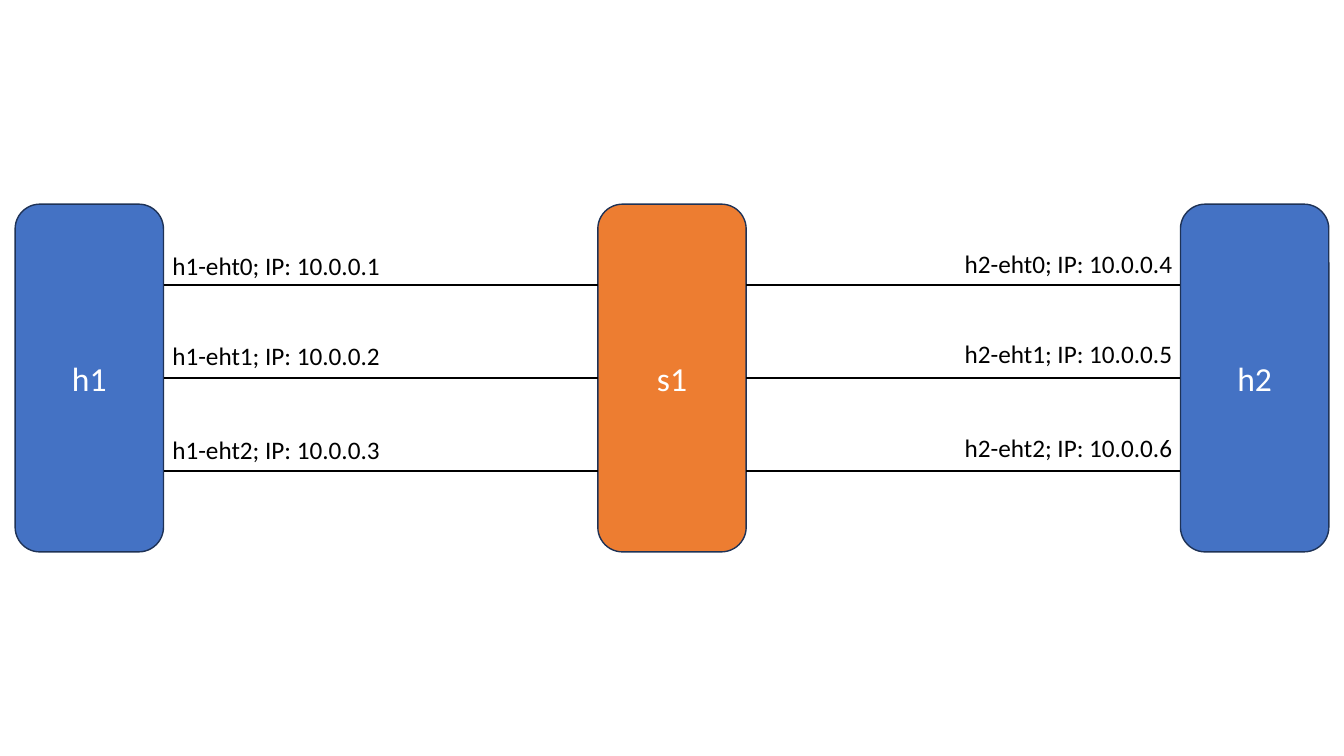
import pptx
import pptx.util
import pptx.dml.color
import pptx.enum.shapes
import pptx.enum.text
import pptx.oxml

Pt = pptx.util.Pt
RGBColor = pptx.dml.color.RGBColor

HOST_BLUE = RGBColor(0x44, 0x72, 0xC4)
SWITCH_ORANGE = RGBColor(0xED, 0x7D, 0x31)
OUTLINE = RGBColor(0x1E, 0x32, 0x56)
BLACK = RGBColor(0, 0, 0)
WHITE = RGBColor(0xFF, 0xFF, 0xFF)

SLIDE_WIDTH, SLIDE_HEIGHT = 960, 540
NODE_WIDTH, NODE_HEIGHT = 106, 248.4
NODE_TOP = (SLIDE_HEIGHT - NODE_HEIGHT) / 2
MARGIN = 10.8
WIRE_PITCH = 66.6
LABEL_WIDTH, LABEL_HEIGHT = 164.2, 29
LABEL_LIFTS = (28.2, 30.2, 30.2)

NODE_FONT = {"name": "Calibri", "size": Pt(24)}
LABEL_FONT = {"name": "Calibri", "size": Pt(18)}


def write(frame, text, font_format, color):
    paragraph = frame.paragraphs[0]
    run = paragraph.add_run()
    run.text = text
    for attribute, value in font_format.items():
        setattr(run.font, attribute, value)
    run.font.color.rgb = color
    return paragraph


def draw_node(slide, left, name, color):
    """Draw a host or switch as a rounded block."""
    node = slide.shapes.add_shape(
        pptx.enum.shapes.MSO_SHAPE.ROUNDED_RECTANGLE,
        Pt(left), Pt(NODE_TOP), Pt(NODE_WIDTH), Pt(NODE_HEIGHT))
    node.shadow.inherit = False
    node.fill.solid()
    node.fill.fore_color.rgb = color
    node.line.color.rgb = OUTLINE
    node.line.width = Pt(1)
    node.text_frame.vertical_anchor = pptx.enum.text.MSO_ANCHOR.MIDDLE
    paragraph = write(node.text_frame, name, NODE_FONT, WHITE)
    paragraph.alignment = pptx.enum.text.PP_ALIGN.CENTER
    return node


def draw_links(slide, left_node, right_node):
    """Draw three parallel wires across the gap between two nodes."""
    start = left_node.left + left_node.width
    middle = left_node.top + left_node.height // 2
    for step in (-1, 0, 1):
        y = middle + Pt(step * WIRE_PITCH)
        wire = slide.shapes.add_connector(
            pptx.enum.shapes.MSO_CONNECTOR.STRAIGHT, start, y, right_node.left, y)
        wire.line.color.rgb = BLACK
        wire.line.width = Pt(1.5)
        wire._element.spPr.append(pptx.oxml.parse_xml(
            '<a:effectLst xmlns:a="http://schemas.openxmlformats.org/drawingml/2006/main"/>'))
        if step == 0:
            wire.begin_connect(left_node, 3)
            wire.end_connect(right_node, 1)


def draw_labels(slide, left, raise_by, host, first_address):
    """Label each interface of a host just above its wire."""
    for index, lift in enumerate(LABEL_LIFTS):
        wire_y = SLIDE_HEIGHT / 2 + (index - 1) * WIRE_PITCH
        label = slide.shapes.add_textbox(
            Pt(left), Pt(wire_y - lift - raise_by), Pt(LABEL_WIDTH), Pt(LABEL_HEIGHT))
        label.text_frame.word_wrap = False
        label.text_frame.auto_size = pptx.enum.text.MSO_AUTO_SIZE.SHAPE_TO_FIT_TEXT
        text = f"{host}-eht{index}; IP: 10.0.0.{first_address + index}"
        write(label.text_frame, text, LABEL_FONT, BLACK)


def draw_topology(slide):
    # Nodes
    right_edge = SLIDE_WIDTH - MARGIN
    host1 = draw_node(slide, MARGIN, "h1", HOST_BLUE)
    switch = draw_node(slide, (SLIDE_WIDTH - NODE_WIDTH) / 2, "s1", SWITCH_ORANGE)
    host2 = draw_node(slide, right_edge - NODE_WIDTH, "h2", HOST_BLUE)

    # Wires
    draw_links(slide, host1, switch)
    draw_links(slide, switch, host2)

    # Interface labels
    draw_labels(slide, MARGIN + NODE_WIDTH - 0.8, 0, "h1", 1)
    draw_labels(slide, right_edge - NODE_WIDTH - LABEL_WIDTH + 3, 1.4, "h2", 4)


def main():
    deck = pptx.Presentation()
    deck.slide_width, deck.slide_height = Pt(SLIDE_WIDTH), Pt(SLIDE_HEIGHT)
    draw_topology(deck.slides.add_slide(deck.slide_layouts[6]))
    deck.save("out.pptx")


if __name__ == "__main__":
    main()
